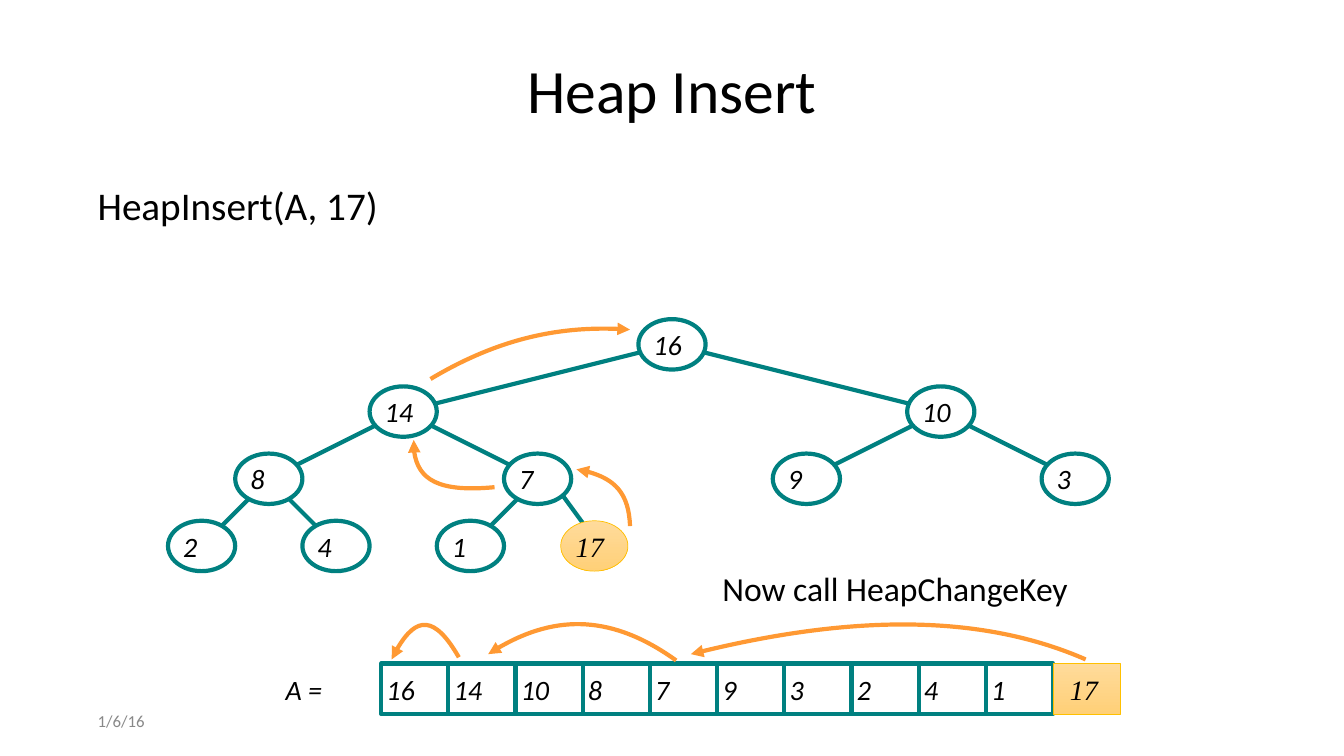
from lxml import etree
from pptx import Presentation
from pptx.dml.color import RGBColor
from pptx.enum.shapes import MSO_CONNECTOR as Connector, MSO_SHAPE as Shape
from pptx.enum.text import MSO_ANCHOR as Anchor, PP_ALIGN as Align
from pptx.oxml.ns import qn
from pptx.util import Emu, Pt

PX = 9525
INSET = 5
NODE_WIDTH, NODE_HEIGHT = 64, 48
COLORS = {
    "black": "000000",
    "white": "FFFFFF",
    "gray": "888888",
    "teal": "008080",
    "orange": "FF9933",
    "gold": "FFC000",
    "gold_top": "FFDB9B",
    "gold_bottom": "FFD078",
}
HEAP = [16, 14, 10, 8, 7, 9, 3, 2, 4, 1]
INSERTED = 17
INSERTED_CENTER = (566, 520)
MOVES = [
    [(600, 501), (599, 470), (582, 452), (549, 447)],
    [(471, 464), (418, 469), (392, 454), (394, 419)],
    [(410, 361), (472, 324), (536, 309), (600, 314)],
    [(1034, 628), (938, 586), (812, 584), (658, 623)],
    [(644, 629), (584, 586), (524, 584), (465, 623)],
    [(437, 626), (414, 586), (393, 586), (373, 628)],
]


def px(*lengths):
    return [Emu(round(length * PX)) for length in lengths]


def color(name):
    return RGBColor.from_string(COLORS[name])


def set_line(line, name, width):
    line.color.rgb = color(name)
    line.width = Pt(width)


def write(shape, text, size, font="Calibri", tint="black", italic=False,
          align=Align.LEFT, anchor=Anchor.MIDDLE, spacing=1.0, left_inset=INSET):
    frame = shape.text_frame
    frame.word_wrap = True
    frame.vertical_anchor = anchor
    frame.margin_left, frame.margin_top, frame.margin_right, frame.margin_bottom = px(
        left_inset, INSET, INSET, INSET)
    paragraph = frame.paragraphs[0]
    paragraph.text = text
    paragraph.alignment = align
    paragraph.line_spacing = spacing
    paragraph.font.name = font
    paragraph.font.size = Pt(size)
    paragraph.font.italic = italic
    paragraph.font.color.rgb = color(tint)


def add_text(slide, box, text, size, **style):
    write(slide.shapes.add_textbox(*px(*box)), text, size, **style)


def add_key(slide, kind, left, top, key, left_inset=INSET):
    shape = slide.shapes.add_shape(kind, *px(left, top, NODE_WIDTH, NODE_HEIGHT))
    shape.shadow.inherit = False
    if key == INSERTED:
        shape.fill.gradient()
        shape.fill.gradient_angle = 270
        for stop, name in zip(shape.fill.gradient_stops, ("gold_top", "gold_bottom")):
            stop.color.rgb = color(name)
        set_line(shape.line, "gold", 0.5)
        font = "Times New Roman"
    else:
        shape.fill.solid()
        shape.fill.fore_color.rgb = color("white")
        set_line(shape.line, "teal", 3)
        font = "Calibri"
    write(shape, str(key), 20, font=font, italic=True, left_inset=left_inset)


def add_node(slide, center, key):
    x, y = center
    add_key(slide, Shape.OVAL, x - NODE_WIDTH // 2, y - NODE_HEIGHT // 2, key)


def add_edge(slide, start, end):
    edge = slide.shapes.add_connector(Connector.STRAIGHT, *px(*start, *end))
    set_line(edge.line, "teal", 3)
    etree.SubElement(edge.element.spPr, qn("a:effectLst"))


def trimmed(parent, child):
    dx, dy = child[0] - parent[0], child[1] - parent[1]
    part = 1 / ((2 * dx / NODE_WIDTH) ** 2 + (2 * dy / NODE_HEIGHT) ** 2) ** 0.5
    return ((parent[0] + part * dx, parent[1] + part * dy),
            (child[0] - part * dx, child[1] - part * dy))


def bezier(points, t):
    weights = ((1 - t) ** 3, 3 * t * (1 - t) ** 2, 3 * t ** 2 * (1 - t), t ** 3)
    return tuple(round(sum(w * point[axis] for w, point in zip(weights, points)))
                 for axis in (0, 1))


def add_move(slide, points):
    samples = [bezier(points, step / 20) for step in range(21)]
    left, top = (min(sample[axis] for sample in samples) for axis in (0, 1))
    builder = slide.shapes.build_freeform(*points[0], scale=PX)
    builder.add_line_segments(samples[1:], close=False)
    shape = builder.convert_to_shape()
    outline = shape.element.find(".//" + qn("a:path"))
    for segment in outline.findall(qn("a:lnTo")):
        outline.remove(segment)
    curve = etree.SubElement(outline, qn("a:cubicBezTo"))
    for x, y in points[1:]:
        etree.SubElement(curve, qn("a:pt"), x=str(x - left), y=str(y - top))
    shape.shadow.inherit = False
    shape.fill.background()
    set_line(shape.line, "orange", 3)
    etree.SubElement(shape.line._get_or_add_ln(), qn("a:tailEnd"), type="triangle")


def node_center(index):
    level = (index + 1).bit_length() - 1
    column = index + 1 - 2 ** level
    gap = 1024 // 2 ** level
    return 128 + gap // 2 + column * gap, 328 + 64 * level


def add_tree(slide):
    centers = [node_center(index) for index in range(len(HEAP))]
    for index in range(1, len(HEAP)):
        add_edge(slide, *trimmed(centers[(index - 1) // 2], centers[index]))
    add_edge(slide, (536, 472), (555, 498))
    for center, key in zip(centers, HEAP):
        add_node(slide, center, key)
    add_node(slide, INSERTED_CENTER, INSERTED)


def add_array(slide):
    add_text(slide, (267, 636, 60, 41), "A =", 20, italic=True)
    for index, key in enumerate(HEAP + [INSERTED]):
        add_key(slide, Shape.RECTANGLE, 363 + index * NODE_WIDTH, 632, key,
                left_inset=16 if key == INSERTED else INSET)


def main():
    presentation = Presentation()
    presentation.slide_width, presentation.slide_height = px(1280, 720)
    slide = presentation.slides.add_slide(presentation.slide_layouts[6])
    add_text(slide, (88, 38, 1104, 103), "Heap Insert", 44, align=Align.CENTER, spacing=0.9)
    add_text(slide, (88, 173, 496, 66), "HeapInsert(A, 17)", 28, anchor=Anchor.TOP, spacing=0.9)
    add_tree(slide)
    add_array(slide)
    add_text(slide, (683, 536, 340, 48), "Now call HeapChangeKey", 24, anchor=Anchor.TOP)
    for points in MOVES:
        add_move(slide, points)
    add_text(slide, (88, 672, 288, 28), "1/6/16", 12, tint="gray")
    presentation.save("out.pptx")


if __name__ == "__main__":
    main()
